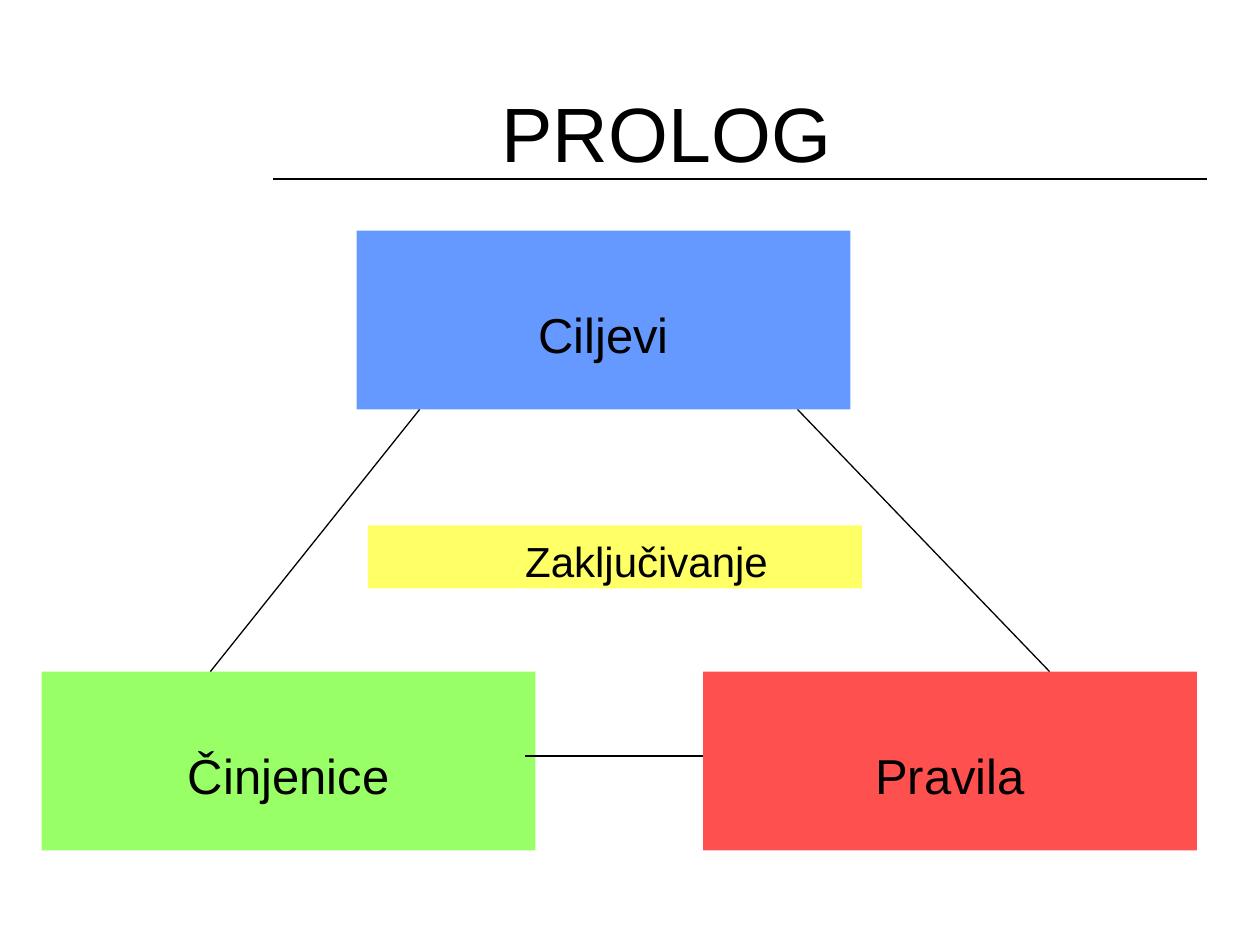
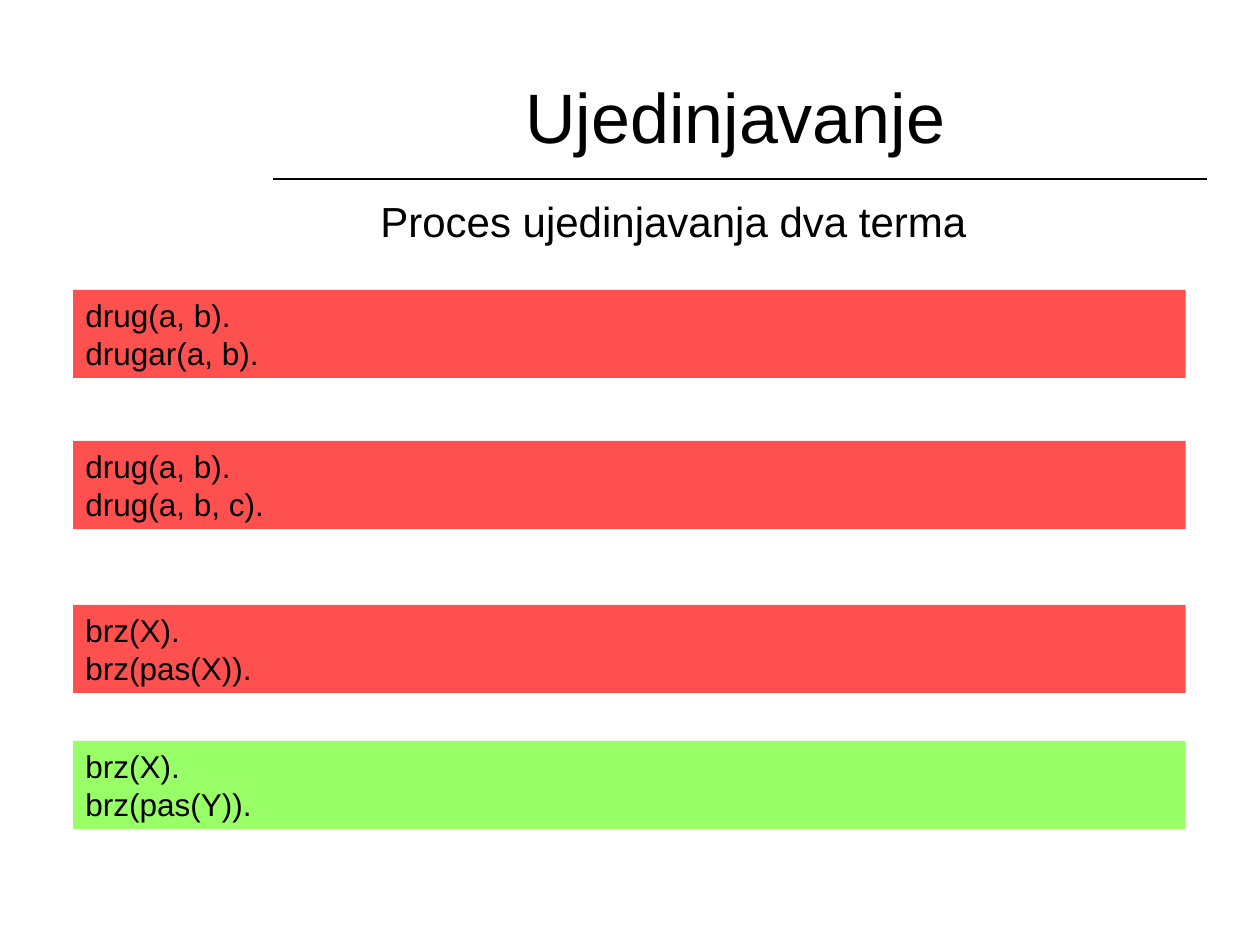
"""Two slides on Prolog: the triangle of its parts, and unification of terms."""
from dataclasses import dataclass

from lxml.etree import SubElement
from pptx import Presentation
from pptx.dml.color import RGBColor
from pptx.enum.shapes import MSO_CONNECTOR, MSO_SHAPE
from pptx.enum.text import MSO_ANCHOR as Anchor, PP_ALIGN as Align
from pptx.oxml.ns import qn
from pptx.slide import Slide
from pptx.text.text import TextFrame
from pptx.util import Inches, Pt


@dataclass(frozen=True)
class Theme:
    font: str = "Arial"
    ink: str = "000000"
    blue: str = "6699FF"
    green: str = "99FF66"
    red: str = "FF5050"
    yellow: str = "FFFF66"
    big_title: int = 44
    title: int = 40
    node: int = 28
    body: int = 24
    code: int = 18
    rule: float = 0.75


@dataclass(frozen=True)
class Box:
    text: str
    left: float
    top: float
    width: float
    height: float
    size: int
    fill: str | None = None
    align: Align = Align.LEFT
    anchor: Anchor = Anchor.TOP
    inset_left: float = 0.1
    inset_top: float = 0.05


@dataclass(frozen=True)
class Line:
    x1: float
    y1: float
    x2: float
    y2: float


THEME = Theme()
TITLE_RULE = Line(2.17, 1.42, 9.58, 1.42)
NODE_W, NODE_H = 3.92, 1.42
GOAL_TOP, BASE_TOP = 1.83, 5.33
GOAL_BOTTOM = GOAL_TOP + NODE_H


def write(tf: TextFrame, box: Box) -> None:
    """Fill a text frame with the box's text in the theme's font."""
    tf.text = box.text
    tf.word_wrap = True
    tf.vertical_anchor = box.anchor
    tf.margin_left, tf.margin_right = Inches(box.inset_left), Inches(0.1)
    tf.margin_top, tf.margin_bottom = Inches(box.inset_top), Inches(0.05)
    for p in tf.paragraphs:
        p.alignment = box.align
        for r in p.runs:
            r.font.name = THEME.font
            r.font.size = Pt(box.size)
            r.font.color.rgb = RGBColor.from_string(THEME.ink)


def add_box(s: Slide, box: Box) -> None:
    """Draw a filled rectangle, or a plain text box when there is no fill."""
    place = [Inches(v) for v in (box.left, box.top, box.width, box.height)]
    if box.fill is None:
        sp = s.shapes.add_textbox(*place)
    else:
        sp = s.shapes.add_shape(MSO_SHAPE.RECTANGLE, *place)
        sp.shadow.inherit = False
        sp.fill.solid()
        sp.fill.fore_color.rgb = RGBColor.from_string(box.fill)
        sp.line.fill.background()
    write(sp.text_frame, box)


def add_line(s: Slide, line: Line) -> None:
    """Draw a thin straight line without a shadow."""
    ends = [Inches(v) for v in (line.x1, line.y1, line.x2, line.y2)]
    cxn = s.shapes.add_connector(MSO_CONNECTOR.STRAIGHT, *ends)
    cxn.line.color.rgb = RGBColor.from_string(THEME.ink)
    cxn.line.width = Pt(THEME.rule)
    SubElement(cxn._element.spPr, qn("a:effectLst"))


def titled_slide(prs: Presentation, title: Box) -> Slide:
    """Add a blank slide with a title and the rule below it."""
    s = prs.slides.add_slide(prs.slide_layouts[6])
    add_box(s, title)
    add_line(s, TITLE_RULE)
    return s


def title_box(text: str, left: float, width: float, height: float, size: int) -> Box:
    """Describe a centred slide title."""
    return Box(text, left, 0.42, width, height, size,
               align=Align.CENTER, anchor=Anchor.MIDDLE)


def node(text: str, left: float, top: float, fill: str) -> Box:
    """Describe one corner of the triangle."""
    return Box(text, left, top, NODE_W, NODE_H, THEME.node, fill,
               Align.CENTER, inset_top=0.59)


def code_bar(text: str, top: float, fill: str) -> Box:
    """Describe a full-width bar with a pair of terms."""
    return Box(text, 0.58, top, 8.83, 0.7, THEME.code, fill, anchor=Anchor.MIDDLE)


def build_prolog(prs: Presentation) -> None:
    """Build the triangle of goals, facts and rules."""
    s = titled_slide(prs, title_box("PROLOG", 2.5, 5.58, 1.25, THEME.big_title))
    for box in (
        node("Činjenice", 0.33, BASE_TOP, THEME.green),
        node("Pravila", 5.58, BASE_TOP, THEME.red),
        node("Ciljevi", 2.83, GOAL_TOP, THEME.blue),
        Box("Zaključivanje", 2.92, 4.17, NODE_W, 0.5, THEME.body, THEME.yellow,
            Align.CENTER, inset_left=0.6, inset_top=0.08),
    ):
        add_box(s, box)
    for line in (
        Line(1.67, BASE_TOP, 3.33, GOAL_BOTTOM),
        Line(4.17, 6, 5.58, 6),
        Line(6.33, GOAL_BOTTOM, 8.33, BASE_TOP),
    ):
        add_line(s, line)


def build_unification(prs: Presentation) -> None:
    """Build the list of term pairs that do or do not unify."""
    s = titled_slide(prs, title_box("Ujedinjavanje", 2.17, 7.33, 1, THEME.title))
    add_box(s, Box("Proces ujedinjavanja dva terma", 2.92, 1.5, 5.58, 0.5, THEME.body))
    for text, top, fill in (
        ("drug(a, b).\ndrugar(a, b).", 2.3, THEME.red),
        ("drug(a, b).\ndrug(a, b, c).", 3.5, THEME.red),
        ("brz(X).\nbrz(pas(X)).", 4.8, THEME.red),
        ("brz(X).\nbrz(pas(Y)).", 5.88, THEME.green),
    ):
        add_box(s, code_bar(text, top, fill))


def main() -> None:
    """Build both slides and save them."""
    prs = Presentation()
    prs.slide_width, prs.slide_height = Inches(10), Inches(7.5)
    build_prolog(prs)
    build_unification(prs)
    prs.save("out.pptx")


if __name__ == "__main__":
    main()
